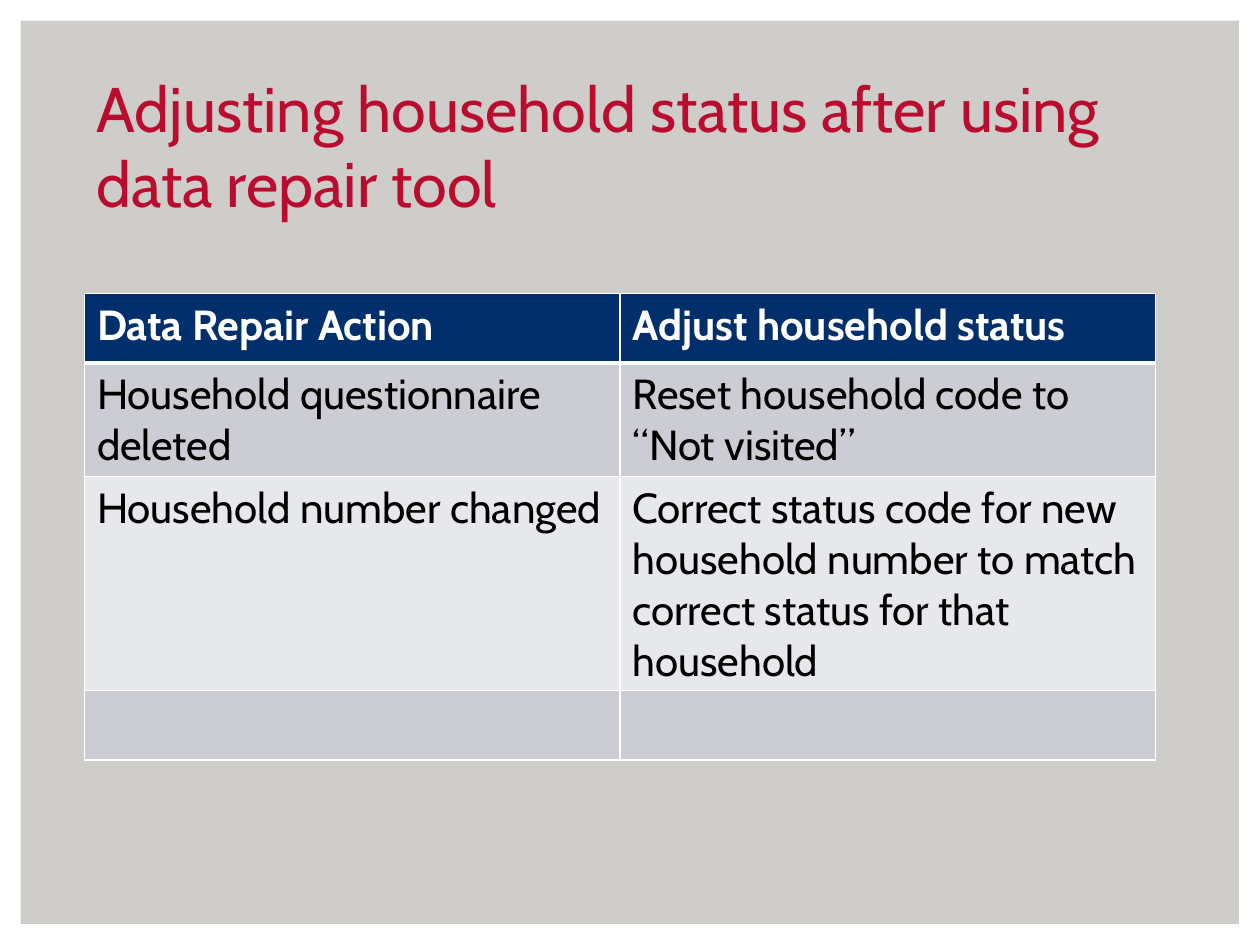
from dataclasses import dataclass

from lxml.etree import SubElement
from pptx import Presentation
from pptx.dml.color import RGBColor
from pptx.enum.shapes import MSO_SHAPE
from pptx.enum.text import MSO_ANCHOR
from pptx.oxml.ns import qn
from pptx.util import Inches, Pt


@dataclass(frozen=True)
class Theme:
    font: str = "Cabin"
    title_size: int = 36
    table_size: int = 24
    background: str = "CFCDC9"
    title: str = "BA0C2F"
    header: str = "002F6C"
    odd_row: str = "CCCDD4"
    even_row: str = "E7E8EB"
    white: str = "FFFFFF"
    text: str = "000000"


THEME = Theme()
LEFT, CONTENT_WIDTH = 0.67, 8.5
ROW_HEIGHTS = [0.55, 0.9, 1.7, 0.55]
ROWS = [
    ("Data Repair Action", "Adjust household status"),
    ("Household questionnaire deleted", "Reset household code to “Not visited”"),
    ("Household number changed",
     "Correct status code for new household number to match "
     "correct status for that household"),
    ("", ""),
]


def fill_solid(fill, color):
    fill.solid()
    fill.fore_color.rgb = RGBColor.from_string(color)


def write_text(text_frame, text, size, color, bold=False):
    text_frame.text = text
    paragraph = text_frame.paragraphs[0]
    for font in [paragraph.font] + [run.font for run in paragraph.runs]:
        font.name = THEME.font
        font.size = Pt(size)
        font.bold = bold
        font.color.rgb = RGBColor.from_string(color)


def add_frame(slide, presentation):
    frame = slide.shapes.add_shape(
        MSO_SHAPE.FRAME, 0, 0, presentation.slide_width, presentation.slide_height)
    frame.adjustments[0] = 0.022
    frame.shadow.inherit = False
    fill_solid(frame.fill, THEME.white)
    frame.line.fill.background()


def add_title(slide, text):
    title = slide.shapes.add_textbox(
        Inches(LEFT), Inches(1.17), Inches(CONTENT_WIDTH), Inches(0.58))
    text_frame = title.text_frame
    text_frame.word_wrap = True
    text_frame.vertical_anchor = MSO_ANCHOR.BOTTOM
    text_frame.margin_bottom = 0
    write_text(text_frame, text, THEME.title_size, THEME.title)


def set_borders(cell, bottom_width, top_width):
    """Draw white borders; they must precede the fill in the cell properties."""
    properties = cell._tc.get_or_add_tcPr()
    widths = {"a:lnL": 1, "a:lnR": 1, "a:lnT": top_width, "a:lnB": bottom_width}
    for tag, width in widths.items():
        line = SubElement(properties, qn(tag), w=str(Pt(width)))
        solid_fill = SubElement(line, qn("a:solidFill"))
        SubElement(solid_fill, qn("a:srgbClr"), val=THEME.white)


def add_status_table(slide):
    column_count = len(ROWS[0])
    table = slide.shapes.add_table(
        len(ROWS), column_count, Inches(LEFT), Inches(2.33),
        Inches(CONTENT_WIDTH), Inches(sum(ROW_HEIGHTS))).table
    for column in table.columns:
        column.width = Inches(CONTENT_WIDTH / column_count)

    for row_index, (texts, height) in enumerate(zip(ROWS, ROW_HEIGHTS)):
        table.rows[row_index].height = Inches(height)
        is_header = row_index == 0
        band = THEME.odd_row if row_index % 2 else THEME.even_row
        for column_index, text in enumerate(texts):
            cell = table.cell(row_index, column_index)
            set_borders(cell, bottom_width=3 if is_header else 1,
                        top_width=3 if row_index == 1 else 1)
            fill_solid(cell.fill, THEME.header if is_header else band)
            write_text(cell.text_frame, text, THEME.table_size,
                       THEME.white if is_header else THEME.text, is_header)


def main():
    presentation = Presentation()
    presentation.slide_width = Inches(10)
    presentation.slide_height = Inches(7.5)
    slide = presentation.slides.add_slide(presentation.slide_layouts[6])

    # Background and white frame
    fill_solid(slide.background.fill, THEME.background)
    add_frame(slide, presentation)

    # Title and table
    add_title(slide, "Adjusting household status after using data repair tool")
    add_status_table(slide)

    presentation.save("out.pptx")


if __name__ == "__main__":
    main()
